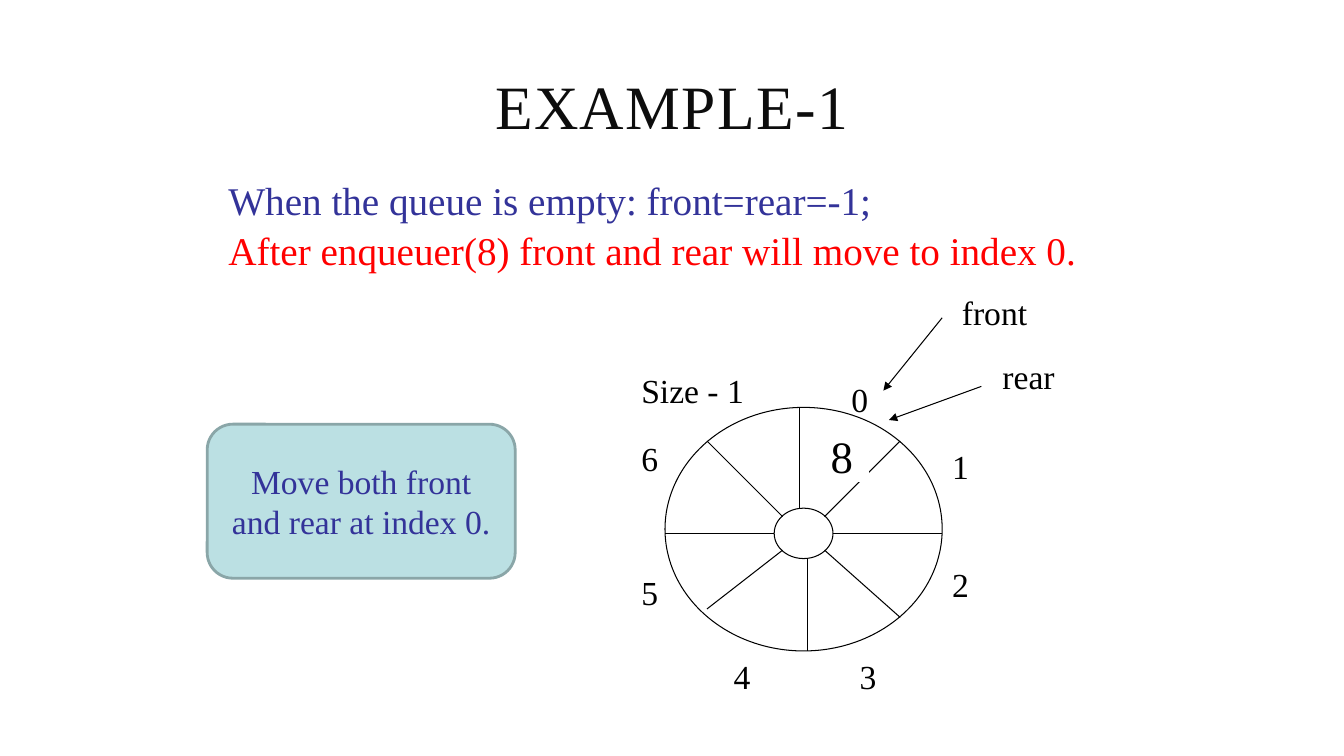
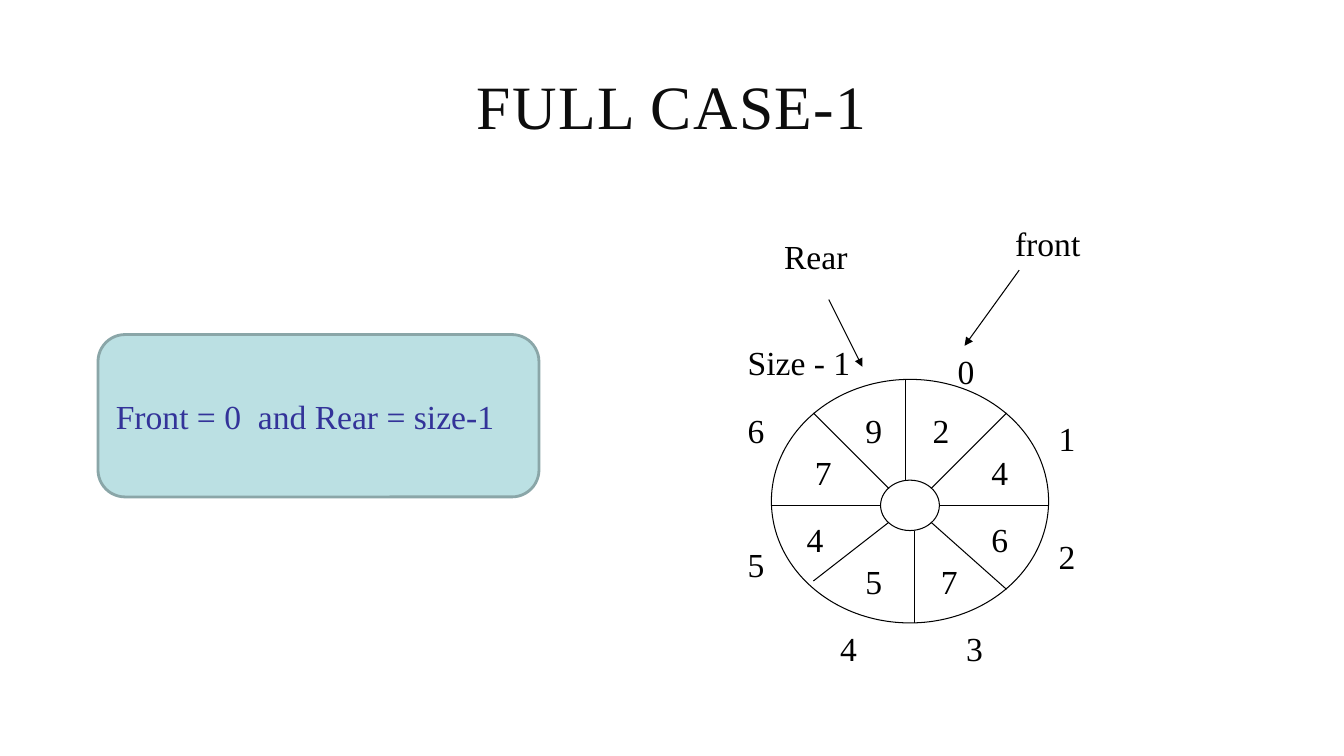
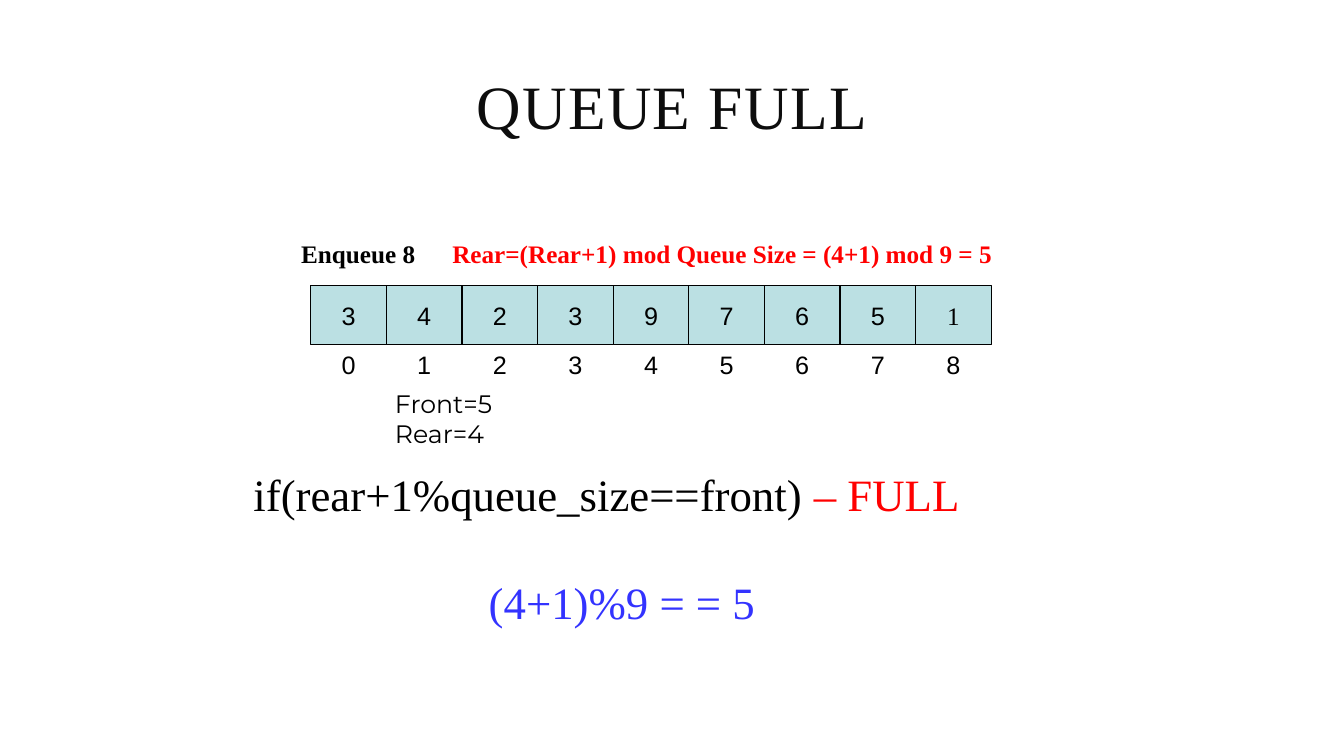
from lxml import etree
from pptx import Presentation
from pptx.dml.color import RGBColor
from pptx.enum import shapes, text
from pptx.oxml import ns
from pptx.util import Pt

BLACK = RGBColor(0x00, 0x00, 0x00)
WHITE = RGBColor(0xFF, 0xFF, 0xFF)
TITLE_INK = RGBColor(0x0D, 0x0D, 0x0D)
NAVY = RGBColor(0x33, 0x33, 0x99)
BLUE = RGBColor(0x33, 0x33, 0xFF)
RED = RGBColor(0xFF, 0x00, 0x00)
PALE_TEAL = RGBColor(0xBB, 0xE0, 0xE3)
GREY_TEAL = RGBColor(0x8A, 0xA6, 0xA8)

SERIF = "Times New Roman"
LEFT, CENTER = text.PP_ALIGN.LEFT, text.PP_ALIGN.CENTER
OVAL = shapes.MSO_SHAPE.OVAL
RECTANGLE = shapes.MSO_SHAPE.RECTANGLE
ROUNDED = shapes.MSO_SHAPE.ROUNDED_RECTANGLE


def add_box(slide, box, lines=(), size=24, color=BLACK, font=SERIF, align=LEFT,
            kind=None, fill=WHITE, outline=BLACK, weight=0.75):
    """Add a text box, or a filled shape if kind is given.

    Each line is a string or a list of (string, colour) runs.
    """
    position = [Pt(value) for value in box]
    if kind is None:
        shape = slide.shapes.add_textbox(*position)
    else:
        shape = slide.shapes.add_shape(kind, *position)
        shape.shadow.inherit = False
        shape.fill.solid()
        shape.fill.fore_color.rgb = fill
        shape.line.color.rgb = outline
        shape.line.width = Pt(weight)
        shape.text_frame.vertical_anchor = text.MSO_ANCHOR.MIDDLE
    frame = shape.text_frame
    frame.word_wrap = True
    for number, line in enumerate(lines):
        paragraph = frame.add_paragraph() if number else frame.paragraphs[0]
        paragraph.alignment = align
        paragraph.font.size = Pt(size)
        paragraph.font.name = font
        for words, ink in [(line, color)] if isinstance(line, str) else line:
            run = paragraph.add_run()
            run.text = words
            run.font.color.rgb = ink
    return shape


def add_line(slide, start, end, arrow=False):
    points = [Pt(value) for value in (*start, *end)]
    connector = slide.shapes.add_connector(shapes.MSO_CONNECTOR.STRAIGHT, *points)
    connector.line.color.rgb = BLACK
    connector.line.width = Pt(0.75)
    if arrow:
        etree.SubElement(connector.line._get_or_add_ln(), ns.qn("a:tailEnd"), type="triangle")
    etree.SubElement(connector._element.spPr, ns.qn("a:effectLst"))


presentation = Presentation()
presentation.slide_width, presentation.slide_height = Pt(960), Pt(540)

slides = []
for title in ("EXAMPLE-1", "FULL CASE-1", "QUEUE FULL"):
    slide = presentation.slides.add_slide(presentation.slide_layouts[6])
    heading = add_box(slide, (48, 30, 864, 90), [title], 44, TITLE_INK, align=CENTER)
    heading.text_frame.vertical_anchor = text.MSO_ANCHOR.MIDDLE
    heading.text_frame.paragraphs[0].runs[0].font._element.set("spc", "100")
    slides.append(slide)
example, full_case, queue_full = slides

# Circular queue, measured from the top left of the wheel
SPOKES = [
    ((0, 90), (78, 90)), ((120, 90), (198, 90)),
    ((96, 0), (96, 72)), ((102, 108), (102, 174)),
    ((114, 102), (168, 150)), ((30, 24), (84, 78)),
    ((114, 78), (168, 24)), ((30, 144), (84, 102)),
]
INDEX_LABELS = [
    ("0", 126, -24), ("1", 198, 24), ("2", 198, 108), ("3", 132, 174),
    ("4", 42, 174), ("5", -24, 114), ("6", -24, 18), ("Size - 1", -24, -30),
]
STORED_VALUES = [
    ("2", 108, 18), ("4", 150, 48), ("6", 150, 96), ("7", 114, 126),
    ("5", 60, 126), ("4", 18, 96), ("7", 24, 48), ("9", 60, 18),
]
for slide, left, top, labels in (
    (example, 475, 291, INDEX_LABELS),
    (full_case, 551, 271, INDEX_LABELS + STORED_VALUES),
):
    add_box(slide, (left, top, 198, 174), kind=OVAL)
    add_box(slide, (left + 78, top + 72, 42, 36), kind=OVAL)
    for (x1, y1), (x2, y2) in SPOKES:
        add_line(slide, (left + x1, top + y1), (left + x2, top + y2))
    for label, x, y in labels:
        width = 24 if len(label) == 1 else 96
        add_box(slide, (left + x, top + y, width, 36), [label])

# Front and rear pointers
for slide, label, x, y, start, end in (
    (example, "front", 680, 205, (673, 227), (631, 279)),
    (example, "rear", 709, 251, (701, 276), (635, 300)),
    (full_case, "front", 718, 156, (728, 193), (689, 247)),
    (full_case, "Rear", 553, 165, (592, 214), (616, 262)),
):
    add_box(slide, (x, y, 72, 36), [label])
    add_line(slide, start, end, arrow=True)

# Callouts
for slide, box, note, align in (
    (example, (148, 303, 220, 110), "Move both front and rear at index 0.", CENTER),
    (full_case, (70, 239, 315, 116), "Front = 0  and Rear = size-1", LEFT),
):
    add_box(slide, box, [note], color=NAVY, align=align, kind=ROUNDED,
            fill=PALE_TEAL, outline=GREY_TEAL, weight=2)

# Example: explanation and first stored value
explanation = add_box(example, (156, 126, 648, 58), [
    "When the queue is empty: front=rear=-1;",
    [("After enqueuer(8) front and rear will move to index 0.", RED)],
], 28, NAVY)
for paragraph in explanation.text_frame.paragraphs:
    paragraph.line_spacing = 0.9
    paragraph.space_before = Pt(6)
add_box(example, (582.5, 307.5, 37.5, 36), ["8"], 32, align=CENTER,
        kind=RECTANGLE, outline=WHITE, weight=2)

# Queue full: array cells with their indexes
CELL_WIDTH = 54
for index, value in enumerate("342397651"):
    x = 222 + index * CELL_WIDTH
    font = SERIF if index == 8 else "Arial"
    add_box(queue_full, (x, 204, CELL_WIDTH, 42), [value], 18, font=font,
            align=CENTER, kind=RECTANGLE, fill=PALE_TEAL)
    add_box(queue_full, (x, 246, CELL_WIDTH, 29), [str(index)], 18, font="Arial", align=CENTER)

operation = add_box(queue_full, (208, 167, 570, 29), [
    [("Enqueue 8\t", BLACK), ("Rear=(Rear+1) mod Queue Size = (4+1) mod 9 = 5", RED)],
], 18)
operation.text_frame.paragraphs[0].font.bold = True
add_box(queue_full, (275, 274, 103, 50), ["Front=5", "Rear=4"], 18, font="Montserrat")
add_box(queue_full, (174, 330, 570, 44), [
    [("if(rear+1%queue_size==front) ", BLACK), ("– FULL", RED)],
], 32)
add_box(queue_full, (342, 407, 300, 44), ["(4+1)%9 = = 5"], 32, BLUE)

presentation.save("out.pptx")
